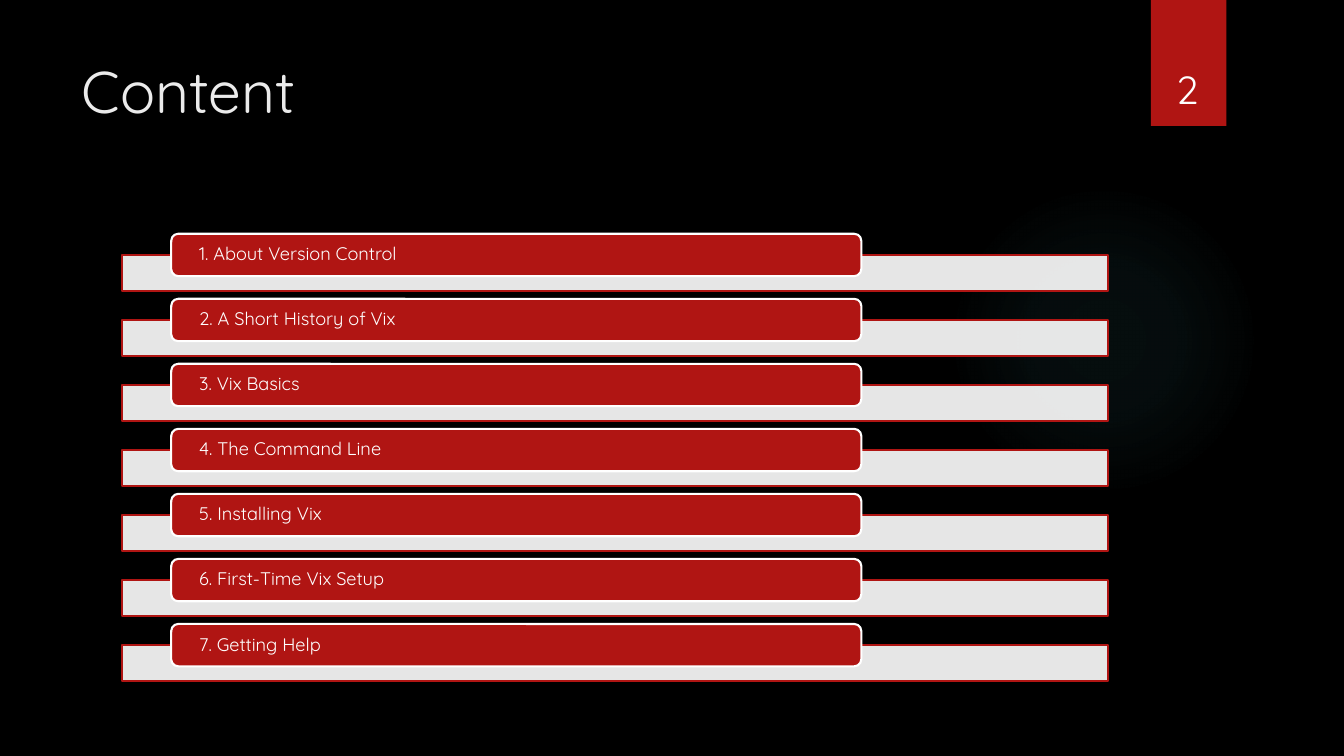
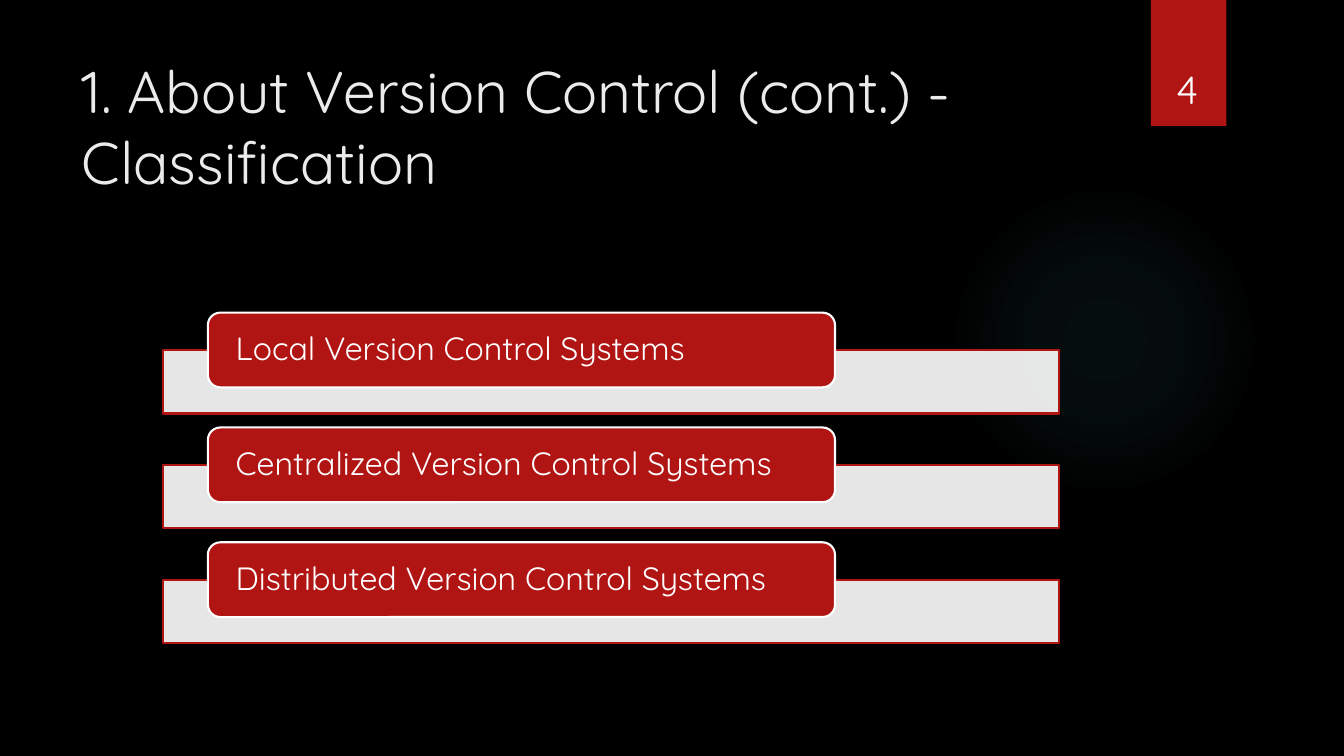
from pptx import Presentation
from pptx.dml.color import RGBColor
from pptx.enum import shapes, text
from pptx.oxml import parse_xml
from pptx.oxml.ns import nsdecls
from pptx.util import Pt

FONT = "Quicksand"
BLACK, RED, WHITE, PALE, GLOW = "000000", "B01513", "FFFFFF", "EBEBEB", "50B9C1"
KIND = shapes.MSO_SHAPE
TITLE = (51.12, 35.5, 740.88, 110.16)
TAG = (822, 0, 54, 90)
NUMBER = (815, 23, 66.2, 60.5)
HALO = (677.5, 131.8, 221.8, 221.8)


def paint(fill, color):
    """Fill with one solid colour."""
    fill.solid()
    fill.fore_color.rgb = RGBColor.from_string(color)


def style(frame, size, color, align=text.PP_ALIGN.LEFT):
    """Format every run of a text frame."""
    frame.word_wrap = True
    for para in frame.paragraphs:
        para.alignment = align
        for run in para.runs:
            run.font.name, run.font.size = FONT, Pt(size)
            run.font.color.rgb = RGBColor.from_string(color)


def block(slide, kind, box, fill, line=None):
    """Add a flat shape with an optional outline."""
    shape = slide.shapes.add_shape(kind, *map(Pt, box))
    shape.shadow.inherit = False
    paint(shape.fill, fill)
    if line:
        paint(shape.line.fill, line)
        shape.line.width = Pt(1.5)
    else:
        shape.line.fill.background()
    return shape


def fade(shape, color, opacity):
    """Make a solid fill partly transparent."""
    paint(shape.fill, color)
    tone = shape.fill._xPr.solidFill[0]
    tone.append(parse_xml(f'<a:alpha {nsdecls("a")} val="{opacity * 1000}"/>'))


def halo(slide, box):
    """Draw the soft round glow."""
    shape = block(slide, KIND.OVAL, box, GLOW)
    stops = "".join(
        f'<a:gs pos="{pos * 1000}"><a:srgbClr val="{GLOW}">'
        f'<a:alpha val="{alpha * 1000}"/></a:srgbClr></a:gs>'
        for pos, alpha in ((0, 7), (36, 6), (69, 0), (100, 0)))
    grad = parse_xml(
        f'<a:gradFill {nsdecls("a")}><a:gsLst>{stops}</a:gsLst><a:path path="circle">'
        '<a:fillToRect l="50000" t="50000" r="50000" b="50000"/></a:path></a:gradFill>')
    solid = shape.fill._xPr.solidFill
    solid.getparent().replace(solid, grad)


def head(slide, title, number):
    """Place the glow, the title and the numbered tag."""
    halo(slide, HALO)
    block(slide, KIND.RECTANGLE, TAG, RED)
    name = slide.shapes.title
    name.left, name.top, name.width, name.height = map(Pt, TITLE)
    frame = name.text_frame
    frame.text = title
    frame.auto_size = text.MSO_AUTO_SIZE.NONE
    frame.vertical_anchor = text.MSO_ANCHOR.TOP
    style(frame, 42, PALE)
    frame = slide.shapes.add_textbox(*map(Pt, NUMBER)).text_frame
    frame.text = str(number)
    frame.vertical_anchor = text.MSO_ANCHOR.BOTTOM
    style(frame, 28, WHITE, text.PP_ALIGN.CENTER)


def agenda(slide, box, items, size):
    """Stack red cards over pale trays, filling the box."""
    left, top, width, height = box
    card = height / (1.536 * (len(items) - 1) + 1.35)
    for row, item in enumerate(items):
        y = top + row * card * 1.536
        tray = block(slide, KIND.RECTANGLE,
                     (left, y + card / 2, width, card * 0.85), WHITE, RED)
        fade(tray, WHITE, 90)
        label = block(slide, KIND.ROUNDED_RECTANGLE,
                      (left + width * 0.05, y, width * 0.7, card), RED, WHITE)
        frame = label.text_frame
        frame.text = item
        frame.margin_left = frame.margin_right = Pt(20 - card * 0.05)
        frame.margin_top = frame.margin_bottom = 0
        frame.vertical_anchor = text.MSO_ANCHOR.MIDDLE
        style(frame, size, WHITE)
        frame.paragraphs[0].line_spacing = 0.9


def page(deck, title, number, box, items, size):
    """Build one list slide."""
    slide = deck.slides.add_slide(deck.slide_layouts[5])
    head(slide, title, number)
    agenda(slide, box, items, size)


def main():
    """Build and save the deck."""
    deck = Presentation()
    deck.slide_width, deck.slide_height = Pt(960), Pt(540)
    paint(deck.slide_master.background.fill, BLACK)
    topics = ["About Version Control", "A Short History of Vix", "Vix Basics",
              "The Command Line", "Installing Vix", "First-Time Vix Setup",
              "Getting Help"]
    page(deck, "Content", 2, (87.1, 167, 704.2, 319.5),
         [f"{i}. {topic}" for i, topic in enumerate(topics, 1)], 13)
    page(deck, "1. About Version Control (cont.) - Classification", 4,
         (116.5, 223.3, 640, 236.2),
         [f"{kind} Version Control Systems"
          for kind in ("Local", "Centralized", "Distributed")], 23)
    deck.save("out.pptx")


main()
